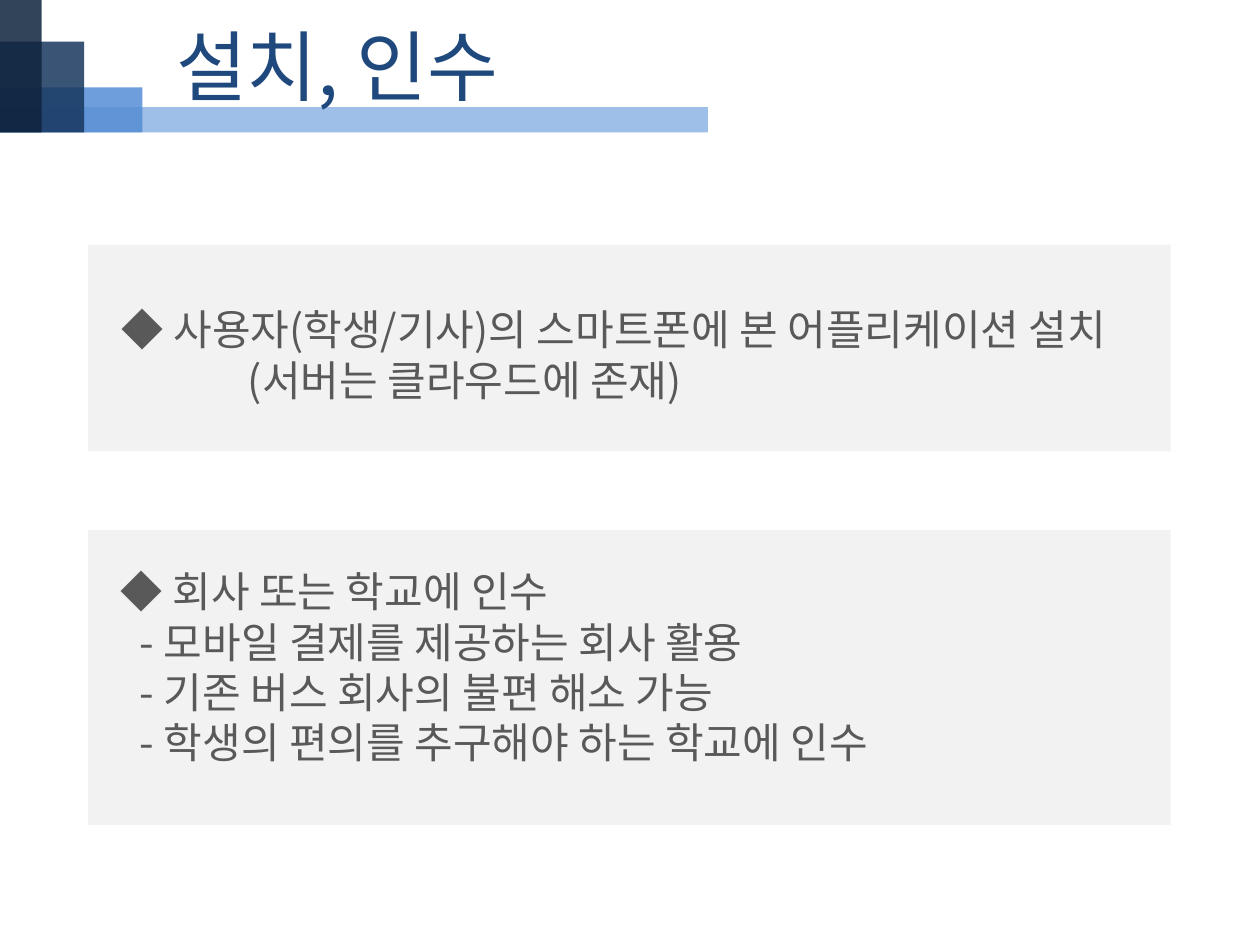
from pptx import Presentation
from pptx.dml.color import RGBColor
from pptx.enum.shapes import MSO_SHAPE as Shape
from pptx.enum.text import MSO_AUTO_SIZE as AutoSize
from pptx.oxml.ns import qn
from pptx.util import Cm, Pt
from lxml.etree import SubElement

FONT = "Noto Sans CJK KR"
BODY = {"size": Pt(24), "name": FONT}
TITLE = {"size": Pt(44), "name": FONT}
DASH_INDENT, NOTE_INDENT = 0.38, 2.54
BARS = [
    (14.27, 0.51, "8EB4E3"),
    (2.87, 0.91, "558ED5"),
    (1.7, 1.83, "17375E"),
    (0.84, 2.74, "0F243E"),
]
INSTALL = [
    ("◆ 사용자(학생/기사)의 스마트폰에 본 어플리케이션 설치", 0),
    ("(서버는 클라우드에 존재)", NOTE_INDENT),
]
HANDOVER = [
    ("◆ 회사 또는 학교에 인수", 0),
    ("- 모바일 결제를 제공하는 회사 활용", DASH_INDENT),
    ("- 기존 버스 회사의 불편 해소 가능", DASH_INDENT),
    ("- 학생의 편의를 추구해야 하는 학교에 인수", DASH_INDENT),
]


def color(hex_string):
    """Turn a hex string into a colour."""
    return RGBColor.from_string(hex_string)


def add_rectangle(shapes, box, fill, opacity=100):
    """Add a flat rectangle without outline."""
    shape = shapes.add_shape(Shape.RECTANGLE, *map(Cm, box))
    shape.shadow.inherit = False
    shape.line.fill.background()
    shape.fill.solid()
    shape.fill.fore_color.rgb = color(fill)
    if opacity < 100:
        fill_color = shape.fill._xPr.find(qn("a:solidFill"))[0]
        SubElement(fill_color, qn("a:alpha")).set("val", str(opacity * 1000))


def add_text(slide, box, lines, formats, hex_string):
    """Add a text box with one paragraph for each (text, indent) line."""
    frame = slide.shapes.add_textbox(*map(Cm, box)).text_frame
    frame.word_wrap = True
    frame.auto_size = AutoSize.SHAPE_TO_FIT_TEXT
    for index, (text, indent) in enumerate(lines):
        paragraph = frame.add_paragraph() if index else frame.paragraphs[0]
        if indent:
            properties = paragraph._p.get_or_add_pPr()
            properties.set("marL", str(Cm(indent)))
            properties.set("indent", "0")
        run = paragraph.add_run()
        run.text = text
        for name, value in formats.items():
            setattr(run.font, name, value)
        run.font.color.rgb = color(hex_string)
        SubElement(run._r.get_or_add_rPr(), qn("a:ea")).set("typeface", FONT)


def add_header(slide, left, bottom):
    """Stack the translucent bars on one base line and add the title."""
    group = slide.shapes.add_group_shape()
    for width, height, fill in BARS:
        add_rectangle(group.shapes, (left, bottom - height, width, height), fill, 85)
    title_box = (left + 3.3, bottom - 2.42, 8.71, 2.13)
    add_text(slide, title_box, [("설치, 인수", 0)], TITLE, "1F497D")


def add_panel(slide, box, inset, text_size, lines):
    """Add a grey panel with its text at an inset from its corner."""
    add_rectangle(slide.shapes, box, "F2F2F2")
    left, top = box[0] + inset[0], box[1] + inset[1]
    add_text(slide, (left, top, *text_size), lines, BODY, "595959")


def main():
    """Build the slide and save it."""
    presentation = Presentation()
    presentation.slide_width, presentation.slide_height = Cm(25.4), Cm(19.05)
    slide = presentation.slides.add_slide(presentation.slide_layouts[6])
    add_header(slide, 0, 2.67)
    add_panel(slide, (1.78, 4.93, 21.82, 4.17), (0.43, 1.07), (23.01, 2.31), INSTALL)
    add_panel(slide, (1.78, 10.69, 21.82, 5.94), (0.41, 0.59), (20.65, 5.38), HANDOVER)
    presentation.save("out.pptx")


if __name__ == "__main__":
    main()
